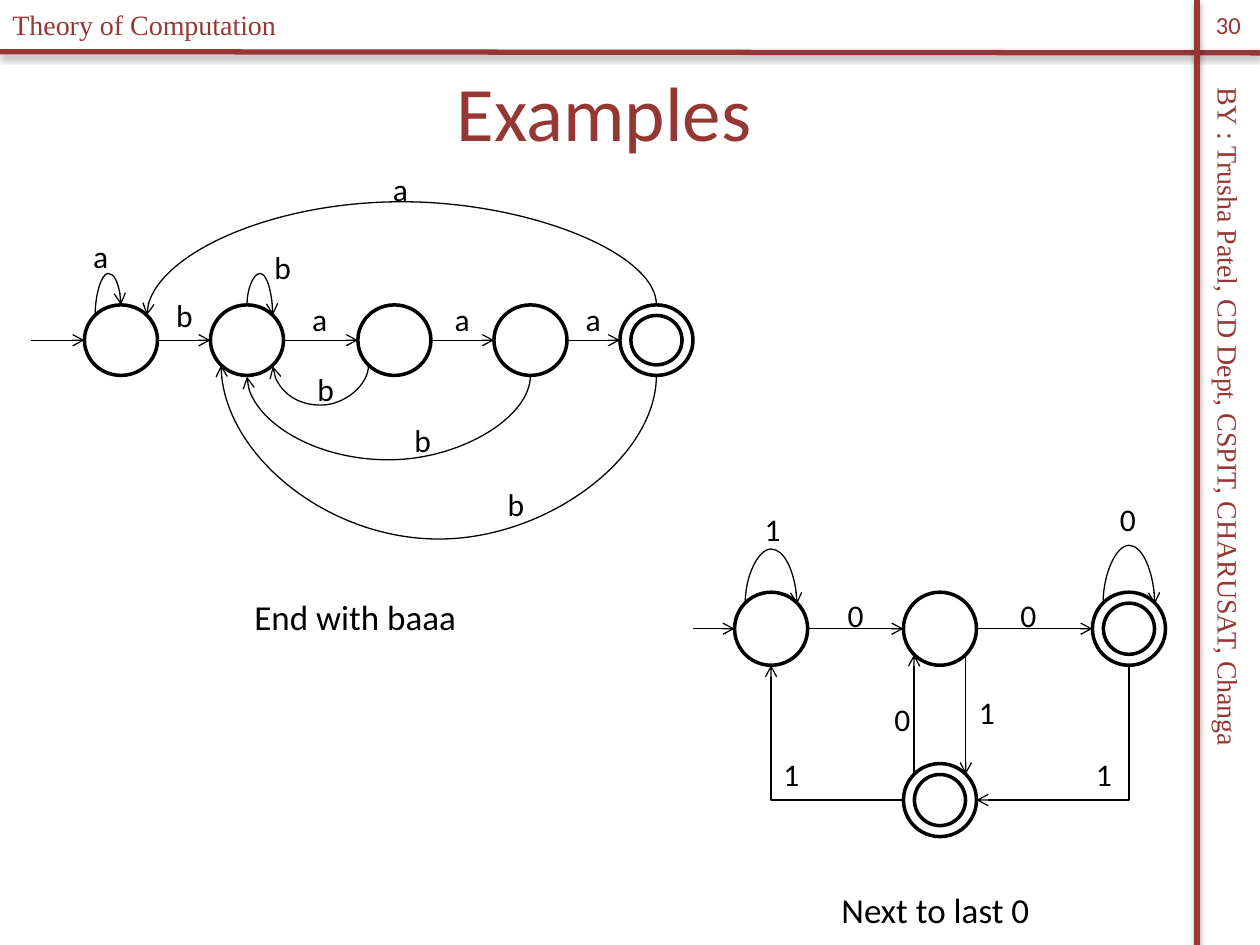
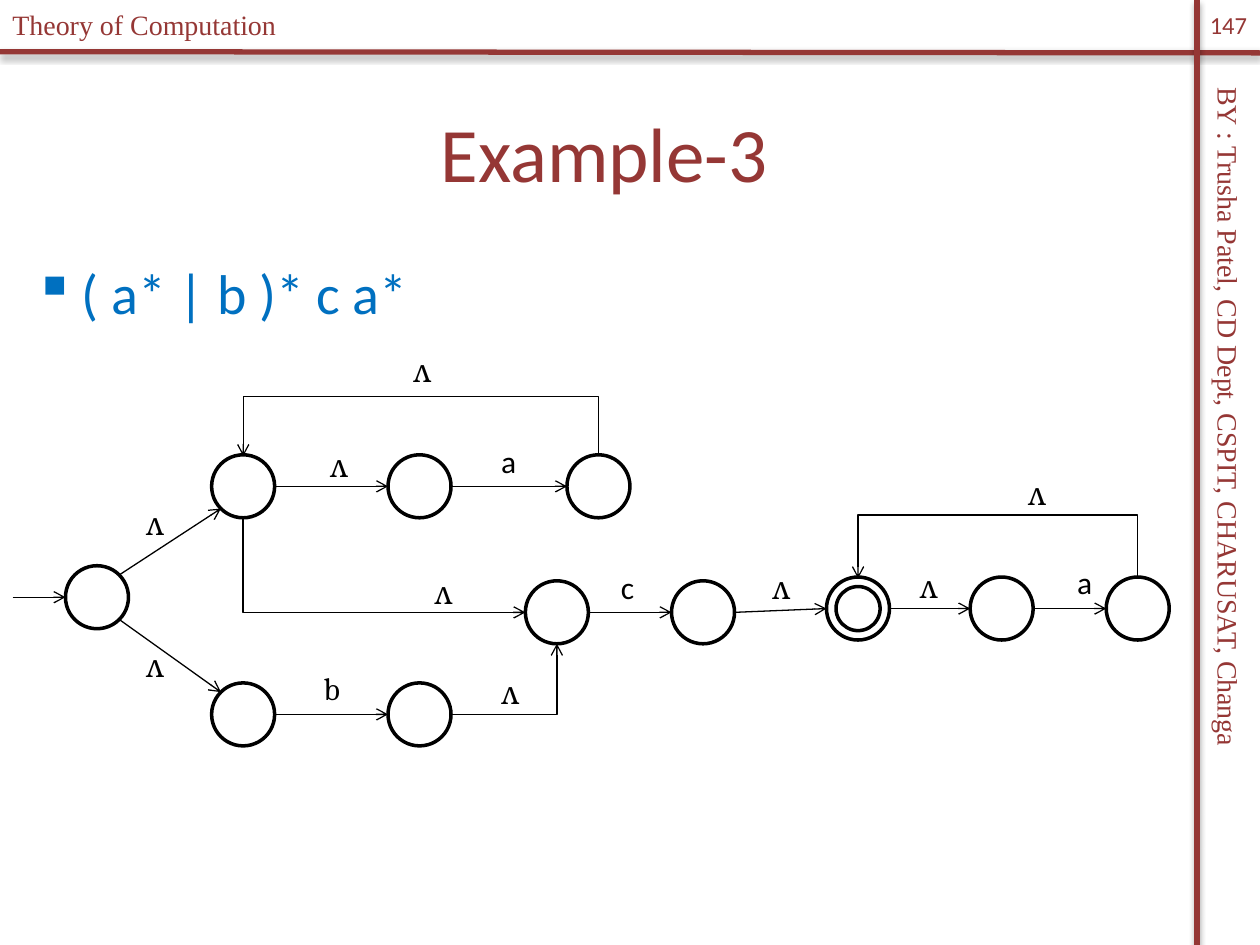
from dataclasses import dataclass
from math import cos, radians, sin

from lxml.etree import SubElement
from pptx import Presentation
from pptx.dml.color import RGBColor
from pptx.enum.shapes import MSO_CONNECTOR, MSO_SHAPE
from pptx.enum.text import MSO_ANCHOR, MSO_AUTO_SIZE, PP_ALIGN
from pptx.oxml.ns import qn
from pptx.util import Inches, Pt

MAROON = RGBColor(0x95, 0x37, 0x35)
BLUE = RGBColor(0x00, 0x70, 0xC0)
BLACK = RGBColor(0x00, 0x00, 0x00)
WHITE = RGBColor(0xFF, 0xFF, 0xFF)

TITLE = {"name": "Calibri", "size": Pt(44), "color": MAROON}
BAND = {"name": "Times New Roman", "size": Pt(16), "color": MAROON}
NUMBER = {"name": "Calibri", "size": Pt(14), "color": MAROON}
EXPRESSION = {"name": "Calibri", "size": Pt(32), "color": BLUE}
SYMBOL = {"name": "Calibri", "size": Pt(18), "color": BLACK}
LAMBDA = {"name": "Cambria", "size": Pt(18), "color": BLACK}
CAPTION = {"name": "Calibri", "size": Pt(20), "color": BLACK}

E, SE, S, SW, W, NW, N, NE = range(0, 360, 45)
CORNER = "bentConnector2"
BRACKET = "bentConnector3"
CURVE = "curvedConnector3"


def add_text(page, area, text, font_format, wrap=False, centred=False):
    box = page.shapes.add_textbox(*map(Inches, area))
    frame = box.text_frame
    frame.word_wrap = wrap
    if not wrap:
        frame.auto_size = MSO_AUTO_SIZE.SHAPE_TO_FIT_TEXT
    para = frame.paragraphs[0]
    if centred:
        frame.vertical_anchor = MSO_ANCHOR.MIDDLE
        para.alignment = PP_ALIGN.CENTER
    span = para.add_run()
    span.text = text
    for key, value in font_format.items():
        if key == "color":
            span.font.color.rgb = value
        else:
            setattr(span.font, key, value)
    return box


def add_line(page, start, end, color, width, kind=MSO_CONNECTOR.STRAIGHT):
    line = page.shapes.add_connector(kind, *map(Inches, (*start, *end)))
    line.line.color.rgb = color
    line.line.width = Pt(width)
    effects = SubElement(line._element.spPr, qn("a:effectLst"))
    return line, effects


def add_band_line(page, start, end):
    effects = add_line(page, start, end, MAROON, 3)[1]
    shadow = SubElement(effects, qn("a:outerShdw"), blurRad=str(Pt(3.1)),
                        dist=str(Pt(1.8)), dir="5400000", rotWithShape="0")
    tint = SubElement(shadow, qn("a:srgbClr"), val="000000")
    SubElement(tint, qn("a:alpha"), val="35000")


def add_arrow(page, start, end, kind=MSO_CONNECTOR.STRAIGHT):
    arrow = add_line(page, start, end, BLACK, 0.75, kind)[0]
    outline = arrow._element.spPr.find(qn("a:ln"))
    SubElement(outline, qn("a:tailEnd"), type="arrow")
    return arrow


def add_turning_arrow(page, start, end, preset, vertical=True, peak=None):
    if vertical:
        run, rise = end[1] - start[1], start[0] - end[0]
        if abs(run) < 0.01:
            run = 0.01
        middle = (start[0] + end[0]) / 2, start[1] + run / 2
        first = middle[0] - run / 2, middle[1] - rise / 2
        last = middle[0] + run / 2, middle[1] + rise / 2
    else:
        first, last = start, end
    kind = MSO_CONNECTOR.CURVE if preset == CURVE else MSO_CONNECTOR.ELBOW
    arrow = add_arrow(page, first, last, kind)
    properties = arrow._element.spPr
    if vertical:
        properties.find(qn("a:xfrm")).set("rot", "5400000")
    geometry = properties.find(qn("a:prstGeom"))
    geometry.set("prst", preset)
    if peak is not None:
        share = round((peak - start[1]) / run * 100000)
        SubElement(geometry.find(qn("a:avLst")), qn("a:gd"),
                   name="adj1", fmla=f"val {share}")


@dataclass
class State:
    x: float
    y: float
    width: float
    height: float

    def port(self, angle):
        return (self.x + self.width / 2 * cos(radians(angle)),
                self.y + self.height / 2 * sin(radians(angle)))


@dataclass
class Automaton:
    page: object
    left: float
    top: float
    width: float
    height: float

    def circle(self, x, y, scale=1):
        width, height = self.width * scale, self.height * scale
        area = x - width / 2, y - height / 2, width, height
        ring = self.page.shapes.add_shape(MSO_SHAPE.OVAL, *map(Inches, area))
        ring.shadow.inherit = False
        ring.fill.solid()
        ring.fill.fore_color.rgb = WHITE
        ring.line.color.rgb = BLACK
        ring.line.width = Pt(2)

    def state(self, x, y, final=False):
        x, y = self.left + x, self.top + y
        for scale in (1, 0.7) if final else (1,):
            self.circle(x, y, scale)
        return State(x, y, self.width, self.height)

    def row(self, xs, y, final=None):
        return [self.state(x, y, index == final) for index, x in enumerate(xs)]

    def enter(self, state, length):
        end = state.port(W)
        add_arrow(self.page, (end[0] - length, end[1]), end)

    def step(self, source, target, leave=E, arrive=W):
        add_arrow(self.page, source.port(leave), target.port(arrive))

    def chain(self, states):
        for source, target in zip(states, states[1:]):
            self.step(source, target)

    def loop(self, source, leave, target, arrive, peak, preset=CURVE):
        add_turning_arrow(self.page, source.port(leave), target.port(arrive),
                          preset, peak=self.top + peak)

    def corner(self, source, leave, target, arrive):
        add_turning_arrow(self.page, source.port(leave), target.port(arrive),
                          CORNER, vertical=leave in (N, S))

    def labels(self, entries, font_format=SYMBOL, width=0.33, height=0.4):
        for text, x, y in entries:
            area = self.left + x, self.top + y, width, height
            add_text(self.page, area, text, font_format)


def add_frame(page, number):
    add_band_line(page, (0, 0.41), (10, 0.42))
    add_band_line(page, (9.5, 0), (9.5, 7.5))
    author = add_text(page, (6.54, 3.62, 6.42, 0.37),
                      "BY : Trusha Patel, CD Dept, CSPIT, CHARUSAT, Changa", BAND)
    author.rotation = 90
    add_text(page, (0, 0.01, 3.29, 0.37), "Theory of Computation", BAND)
    box = add_text(page, (9.5, 0, 0.5, 0.4), number, NUMBER, wrap=True, centred=True)
    box.text_frame.margin_left = box.text_frame.margin_right = Inches(0.05)


def add_title(page, top, text):
    add_text(page, (0.17, top, 9.25, 1.25), text, TITLE, wrap=True, centred=True)


def draw_ends_with_baaa(page, left, top):
    machine = Automaton(page, left, top, 0.58, 0.56)
    states = machine.row((0.71, 1.71, 2.88, 3.96, 4.96), 1.4, final=4)
    start, after_b, after_ba, after_baa, accept = states
    machine.enter(start, 0.42)
    machine.chain(states)
    machine.loop(start, NW, start, N, 0.87)
    machine.loop(after_b, N, after_b, NE, 0.87)
    machine.loop(accept, N, start, NE, 0.3)
    machine.loop(after_ba, SW, after_b, SE, 1.92)
    machine.loop(after_baa, S, after_b, S, 2.36)
    machine.loop(accept, S, after_b, SW, 2.98)
    machine.labels([
        ("a", 0.39, 0.53), ("a", 2.13, 1.03), ("a", 3.26, 1.03), ("a", 4.3, 1.03),
        ("a", 2.77, 0), ("b", 1.05, 1), ("b", 1.83, 0.62), ("b", 2.17, 1.59),
        ("b", 2.94, 1.99), ("b", 3.68, 2.5),
    ])
    machine.labels([("End with baaa", 1.67, 3.38)], CAPTION, 1.82, 0.44)


def draw_next_to_last_zero(page, left, top):
    machine = Automaton(page, left, top, 0.58, 0.58)
    states = machine.row((0.62, 1.96, 3.46), 1.07, final=2)
    start, zero, double_zero = states
    zero_one = machine.state(1.96, 2.43, final=True)
    machine.enter(start, 0.33)
    machine.chain(states)
    machine.loop(start, NW, start, NE, 0.43)
    machine.loop(double_zero, NW, double_zero, NE, 0.4)
    machine.step(zero, zero_one, SE, NE)
    machine.step(zero_one, zero, NW, SW)
    machine.corner(double_zero, S, zero_one, E)
    machine.corner(zero_one, W, start, S)
    machine.labels([
        ("0", 1.13, 0.76), ("0", 2.5, 0.76), ("0", 1.5, 1.59), ("0", 3.29, 0),
        ("1", 3.1, 2.02), ("1", 0.62, 2.02), ("1", 2.17, 1.53), ("1", 0.47, 0.08),
    ])
    machine.labels([("Next to last 0", 1.08, 3.08)], CAPTION, 1.71, 0.44)


def draw_expression_automaton(page, left, top):
    machine = Automaton(page, left, top, 0.5, 0.5)
    start = machine.state(0.77, 2.04)
    upper = machine.row((1.93, 3.33, 4.75), 1.16)
    lower = machine.row((1.93, 3.33), 2.97)
    middle = machine.row((4.42, 5.58), 2.16)
    right = machine.row((6.81, 7.95, 9.03), 2.13, final=0)
    machine.enter(start, 0.42)
    for states in (upper, lower, middle + right):
        machine.chain(states)
    machine.step(start, upper[0], NE, SW)
    machine.step(start, lower[0], SE, NW)
    machine.loop(upper[2], N, upper[0], N, 0.44, BRACKET)
    machine.loop(right[2], N, right[0], N, 1.38, BRACKET)
    machine.corner(upper[0], S, middle[0], W)
    machine.corner(lower[1], E, middle[0], S)
    machine.labels([("a", 3.88, 0.76), ("a", 8.45, 1.72), ("c", 4.83, 1.76)])
    machine.labels([("b", 2.47, 2.56)], LAMBDA)
    places = [(1.06, 1.25), (3.18, 0.04), (2.52, 0.79), (1.06, 2.38), (8.06, 1.01),
              (7.2, 1.75), (3.35, 1.8), (3.88, 2.59), (6.03, 1.76)]
    machine.labels([("ʌ", x, y) for x, y in places], LAMBDA)


def add_expression(page, area, text):
    box = add_text(page, area, text, EXPRESSION, wrap=True)
    properties = box.text_frame.paragraphs[0]._p.get_or_add_pPr()
    for key, value in {"marL": Inches(0.38), "indent": -Inches(0.38)}.items():
        properties.set(key, str(value))
    SubElement(properties, qn("a:buChar"), char="▪")


def main():
    deck = Presentation()
    deck.slide_width, deck.slide_height = Inches(10), Inches(7.5)
    blank = deck.slide_layouts[6]

    page = deck.slides.add_slide(blank)
    add_frame(page, "30")
    add_title(page, 0.25, "Examples")
    draw_next_to_last_zero(page, 5.5, 3.92)
    draw_ends_with_baaa(page, 0.25, 1.3)

    page = deck.slides.add_slide(blank)
    add_frame(page, "147")
    add_title(page, 0.58, "Example-3")
    add_expression(page, (0.17, 2, 9.25, 5.25), "( a* | b )* c a*")
    draw_expression_automaton(page, 0, 2.7)

    deck.save("out.pptx")


if __name__ == "__main__":
    main()
